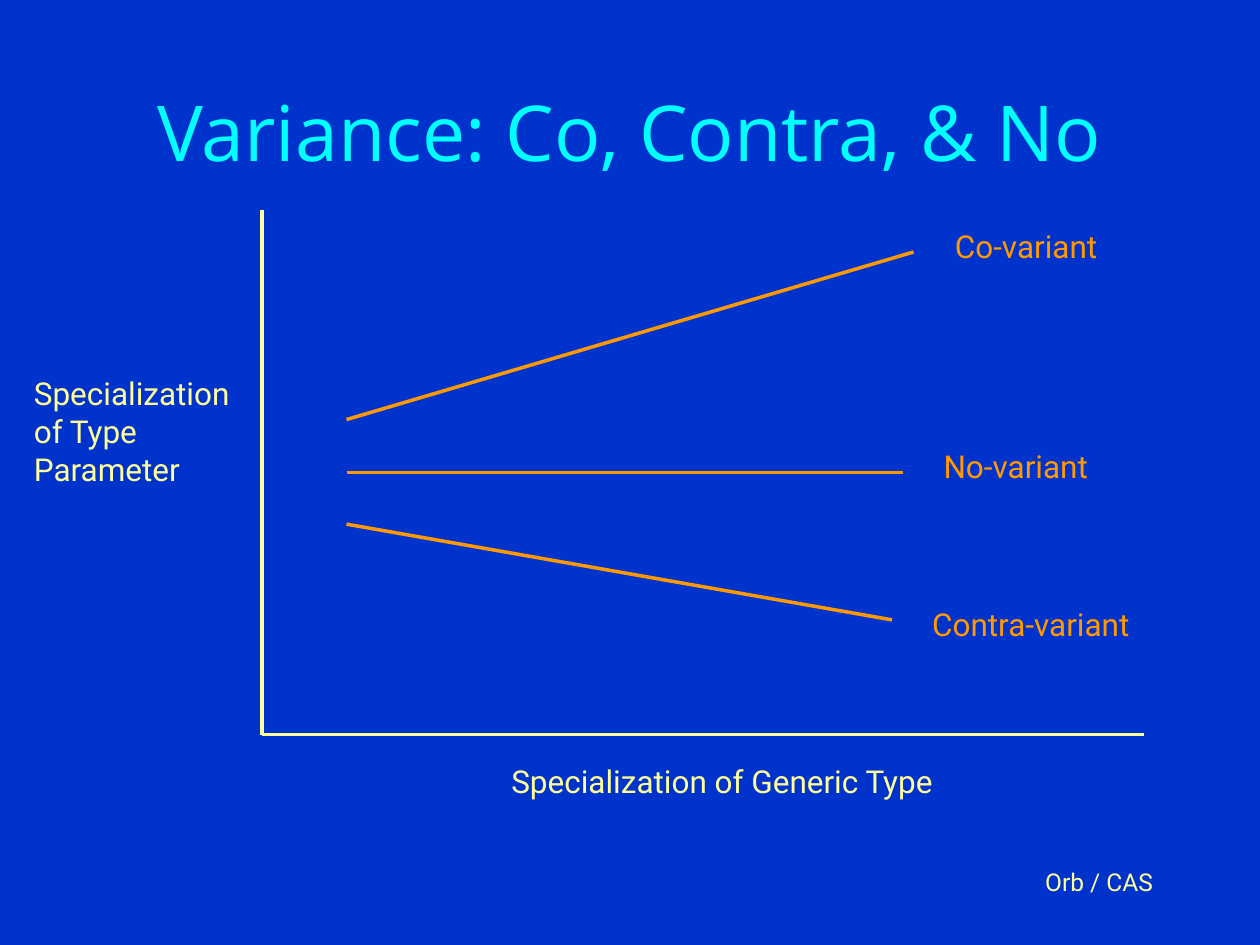
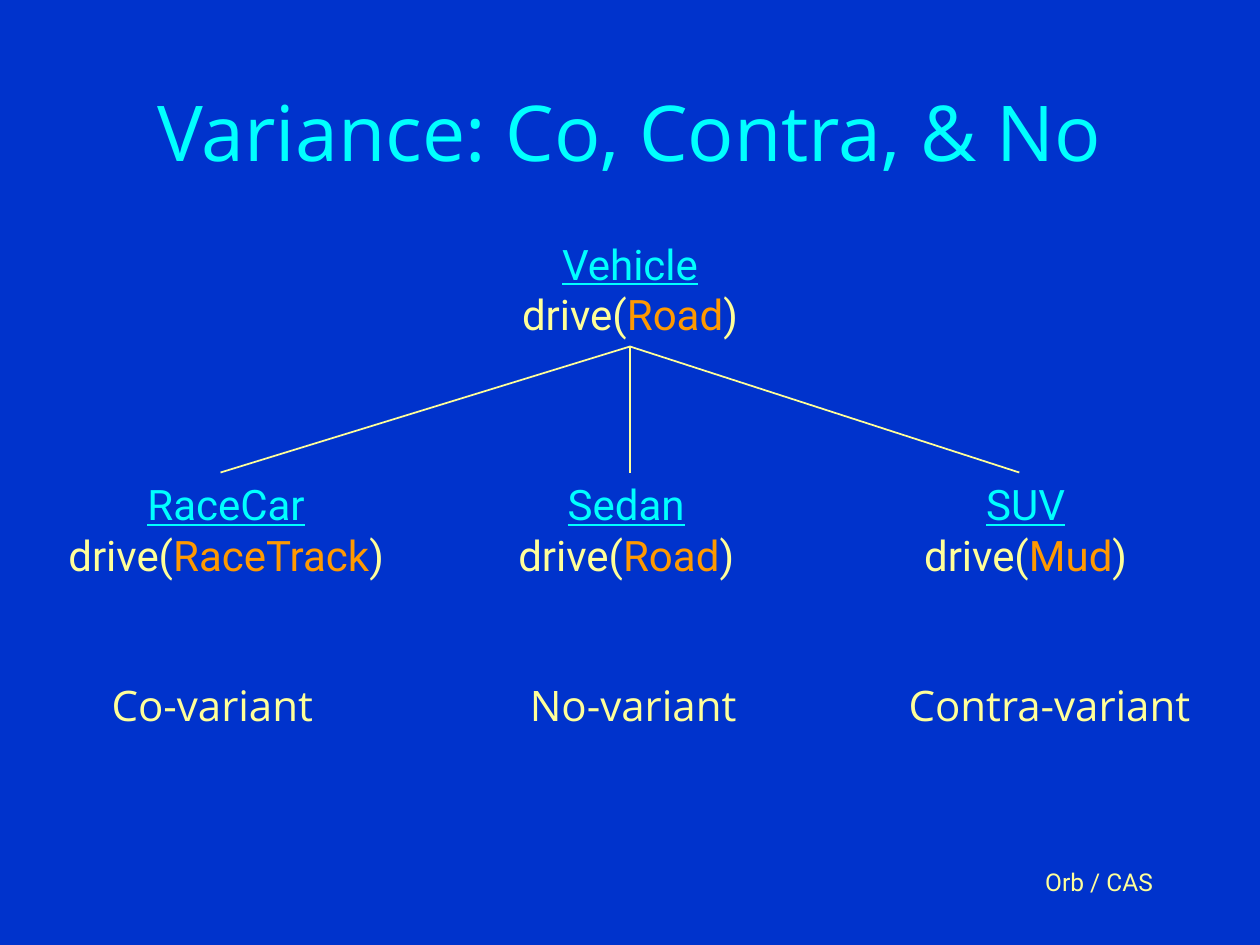
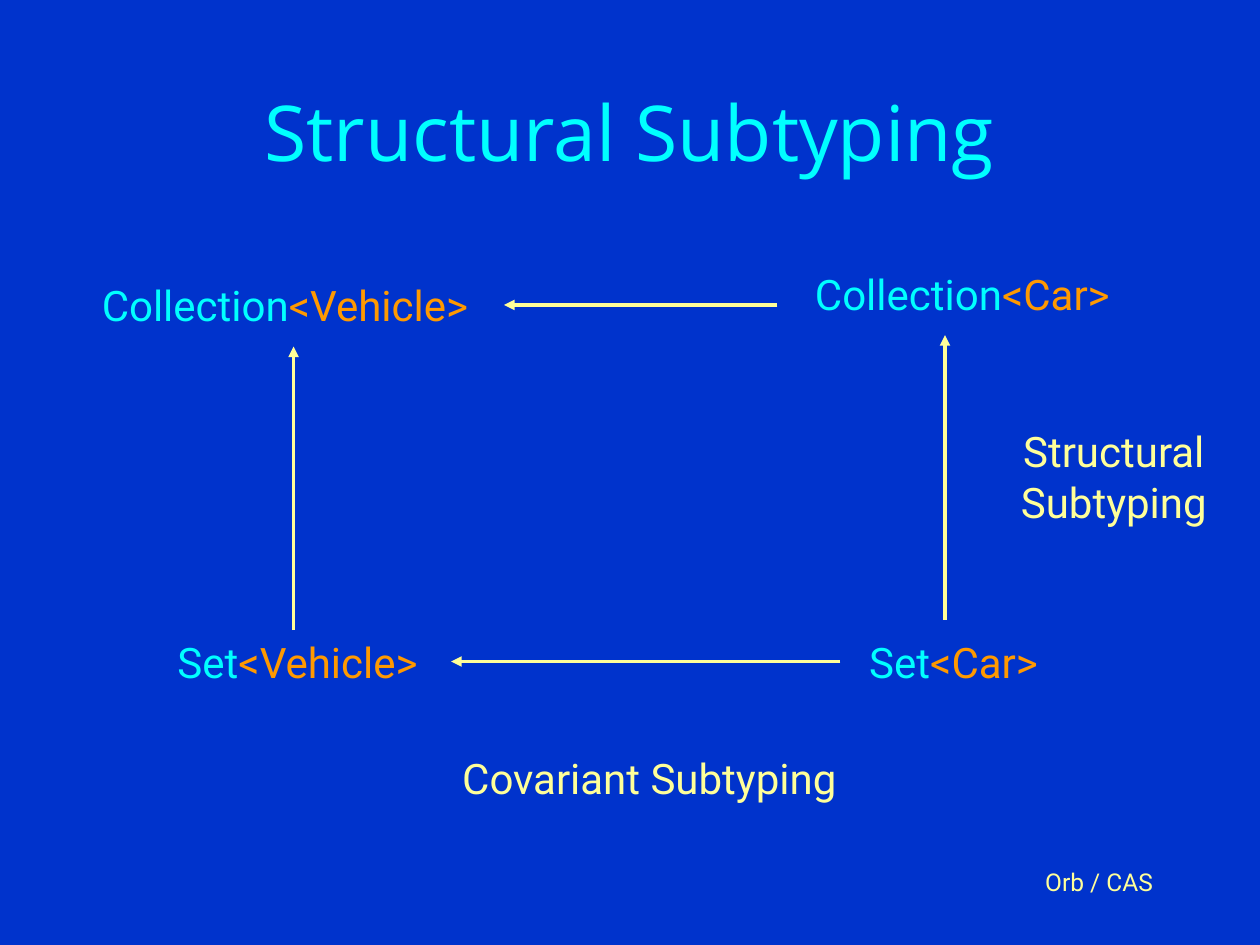
from dataclasses import dataclass

import pptx
import pptx.dml.color
import pptx.enum.shapes
import pptx.enum.text
import pptx.oxml.ns
import pptx.presentation
import pptx.slide
import pptx.util
from lxml import etree

EMU_PER_PX = 9144
SLIDE_WIDTH, SLIDE_HEIGHT = 1000, 750
COLORS = {
    "background": "0033CC",
    "heading": "00FFFF",
    "text": "FFFF99",
    "accent": "FF9900",
}
TITLE_FONT = "Open Sans"
BODY_FONT = "Roboto"
LEFT = pptx.enum.text.PP_ALIGN.LEFT
CENTER = pptx.enum.text.PP_ALIGN.CENTER
RIGHT = pptx.enum.text.PP_ALIGN.RIGHT


@dataclass(frozen=True)
class Span:
    text: str
    color: str = "text"


@dataclass(frozen=True)
class Line:
    spans: tuple[Span, ...]
    underline: bool = False


@dataclass(frozen=True)
class Label:
    left: int
    top: int
    width: int
    height: int
    lines: tuple[Line, ...]
    size: int = 24
    font: str = BODY_FONT
    align: pptx.enum.text.PP_ALIGN = LEFT
    wrap: bool = False
    middle: bool = False


@dataclass(frozen=True)
class Stroke:
    start: tuple[int, int]
    end: tuple[int, int]
    color: str = "text"
    weight: int = 2
    arrow: bool = False


@dataclass(frozen=True)
class Variant:
    name: str
    name_left: int
    name_width: int
    vehicle: str
    surface: str
    vehicle_left: int
    vehicle_width: int
    branch_x: int


def px(length: int) -> pptx.util.Emu:
    return pptx.util.Emu(length * EMU_PER_PX)


def rgb(name: str) -> pptx.dml.color.RGBColor:
    return pptx.dml.color.RGBColor.from_string(COLORS[name])


def plain(text: str, color: str = "text") -> tuple[Line, ...]:
    return (Line((Span(text, color),)),)


def add_label(slide: pptx.slide.Slide, label: Label) -> None:
    shape = slide.shapes.add_textbox(
        px(label.left), px(label.top), px(label.width), px(label.height)
    )
    frame = shape.text_frame
    frame.word_wrap = label.wrap
    if not label.wrap:
        frame.auto_size = pptx.enum.text.MSO_AUTO_SIZE.SHAPE_TO_FIT_TEXT
    if label.middle:
        frame.vertical_anchor = pptx.enum.text.MSO_ANCHOR.MIDDLE
    for index, line in enumerate(label.lines):
        paragraph = frame.add_paragraph() if index else frame.paragraphs[0]
        paragraph.alignment = label.align
        paragraph.font.name = label.font
        paragraph.font.size = pptx.util.Pt(label.size)
        paragraph.font.underline = line.underline
        if len(line.spans) == 1:
            paragraph.font.color.rgb = rgb(line.spans[0].color)
        for span in line.spans:
            run = paragraph.add_run()
            run.text = span.text
            if len(line.spans) > 1:
                run.font.color.rgb = rgb(span.color)


def add_stroke(slide: pptx.slide.Slide, stroke: Stroke) -> None:
    connector = slide.shapes.add_connector(
        pptx.enum.shapes.MSO_CONNECTOR.STRAIGHT,
        *map(px, stroke.start + stroke.end),
    )
    connector.line.color.rgb = rgb(stroke.color)
    connector.line.width = pptx.util.Pt(stroke.weight)
    qualified = pptx.oxml.ns.qn
    properties = connector._element.spPr
    if stroke.arrow:
        outline = properties.find(qualified("a:ln"))
        etree.SubElement(outline, qualified("a:tailEnd"), type="triangle")
    etree.SubElement(properties, qualified("a:effectLst"))


def add_base_slide(
    presentation: pptx.presentation.Presentation, title: str
) -> pptx.slide.Slide:
    slide = presentation.slides.add_slide(presentation.slide_layouts[6])
    slide.background.fill.solid()
    slide.background.fill.fore_color.rgb = rgb("background")
    add_label(
        slide,
        Label(717, 683, 208, 50, plain("Orb / CAS"), 14, align=RIGHT, wrap=True),
    )
    add_label(
        slide,
        Label(75, 62, 850, 84, plain(title, "heading"), 44, TITLE_FONT,
              CENTER, wrap=True, middle=True),
    )
    return slide


def add_variance_graph(presentation: pptx.presentation.Presentation) -> None:
    slide = add_base_slide(presentation, "Variance: Co, Contra, & No")
    origin = (208, 583)
    for axis_end in ((208, 167), (908, 583)):
        add_stroke(slide, Stroke(origin, axis_end))
    trends = (
        ("Co-variant", 333, (725, 200), 748, 175, 141),
        ("No-variant", 375, (717, 375), 739, 350, 144),
        ("Contra-variant", 416, (708, 492), 730, 475, 190),
    )
    for name, start_y, end, left, top, width in trends:
        add_stroke(slide, Stroke((275, start_y), end, "accent"))
        add_label(slide, Label(left, top, width, 40, plain(name, "accent"), 18))
    add_label(slide, Label(396, 600, 370, 40, plain("Specialization of Generic Type"), 18))
    add_label(
        slide,
        Label(17, 292, 192, 100, plain("Specialization of Type Parameter"), 18, wrap=True),
    )


def method_lines(vehicle: str, surface: str) -> tuple[Line, ...]:
    return (
        Line((Span(vehicle, "heading"),), underline=True),
        Line((Span("drive("), Span(surface, "accent"), Span(")"))),
    )


def add_vehicle_tree(presentation: pptx.presentation.Presentation) -> None:
    slide = add_base_slide(presentation, "Variance: Co, Contra, & No")
    add_label(slide, Label(401, 184, 198, 90, method_lines("Vehicle", "Road"), align=CENTER))
    variants = (
        Variant("Co-variant", 78, 181, "RaceCar", "RaceTrack", 41, 277, 175),
        Variant("No-variant", 410, 185, "Sedan", "Road", 398, 198, 500),
        Variant("Contra-variant", 710, 246, "SUV", "Mud", 719, 190, 809),
    )
    for variant in variants:
        add_label(
            slide,
            Label(variant.vehicle_left, 375, variant.vehicle_width, 90,
                  method_lines(variant.vehicle, variant.surface), align=CENTER),
        )
        add_stroke(slide, Stroke((variant.branch_x, 375), (500, 275), weight=1))
        add_label(
            slide,
            Label(variant.name_left, 534, variant.name_width, 50,
                  plain(variant.name), font=TITLE_FONT, align=CENTER),
        )


def add_subtyping_square(presentation: pptx.presentation.Presentation) -> None:
    slide = add_base_slide(presentation, "Structural Subtyping")
    corners = (
        ("Collection", "<Vehicle>", 71, 217, 324),
        ("Set", "<Vehicle>", 131, 500, 218),
        ("Collection", "<Car>", 637, 208, 266),
        ("Set", "<Car>", 680, 500, 161),
    )
    for generic, parameter, left, top, width in corners:
        line = Line((Span(generic, "heading"), Span(parameter, "accent")))
        add_label(slide, Label(left, top, width, 50, (line,)))
    arrows = (
        ((233, 500), (233, 275)),
        ((750, 492), (750, 266)),
        ((617, 242), (400, 242)),
        ((667, 525), (358, 525)),
    )
    for start, end in arrows:
        add_stroke(slide, Stroke(start, end, arrow=True))
    add_label(slide, Label(357, 592, 338, 50, plain("Covariant Subtyping")))
    add_label(
        slide,
        Label(795, 333, 178, 90, plain("Structural") + plain("Subtyping"), align=CENTER),
    )


def main() -> None:
    presentation = pptx.Presentation()
    presentation.slide_width = px(SLIDE_WIDTH)
    presentation.slide_height = px(SLIDE_HEIGHT)
    add_variance_graph(presentation)
    add_vehicle_tree(presentation)
    add_subtyping_square(presentation)
    presentation.save("out.pptx")


if __name__ == "__main__":
    main()
